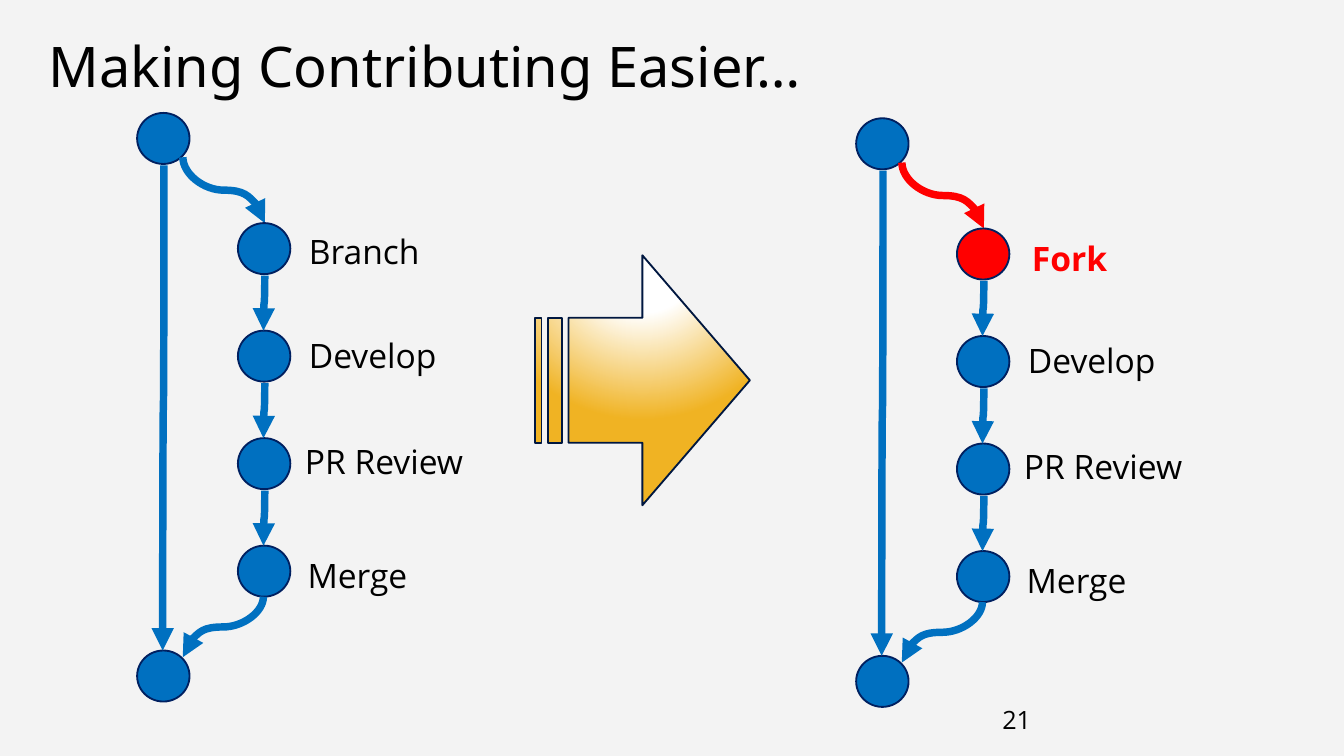
from dataclasses import dataclass

from lxml import etree
from pptx import Presentation
from pptx.dml.color import RGBColor
from pptx.enum import shapes, text
from pptx.oxml import parse_xml
from pptx.oxml.ns import nsdecls, qn
from pptx.util import Inches, Pt


@dataclass(frozen=True)
class Theme:
    background: str = "F3F3F3"
    ink: str = "000000"
    blue: str = "0070C0"
    navy: str = "002060"
    red: str = "FF0000"
    white: str = "FFFFFF"
    gold: str = "F0B323"
    arrow_edge: str = "001740"
    title_font: str = "Noto Sans"
    body_font: str = "Open Sans"
    title_size: float = 30
    label_size: float = 18
    number_size: float = 13.5
    outline: float = 1
    flow_line: float = 4


THEME = Theme()
NODE_W, NODE_H = 0.39, 0.38
STEP_X, FIRST_STEP_Y, STEP_GAP = 0.75, 0.82, 0.8
END_Y = 4.0


def rgb(color):
    return RGBColor.from_string(color)


def add_text(slide, box, words, size, font=THEME.body_font, color=THEME.ink,
             bold=False, wrap=True, inset=True):
    frame = slide.shapes.add_textbox(*map(Inches, box)).text_frame
    frame.word_wrap = wrap
    if not wrap:
        frame.auto_size = text.MSO_AUTO_SIZE.SHAPE_TO_FIT_TEXT
    if not inset:
        frame.margin_left = frame.margin_right = 0
        frame.margin_top = frame.margin_bottom = 0
    paragraph = frame.paragraphs[0]
    paragraph.text = words
    paragraph.font.name = font
    paragraph.font.size = Pt(size)
    paragraph.font.bold = bold
    paragraph.font.color.rgb = rgb(color)
    return paragraph


def add_node(slide, left, top, color=THEME.blue):
    node = slide.shapes.add_shape(
        shapes.MSO_SHAPE.OVAL, *map(Inches, (left, top, NODE_W, NODE_H)))
    node.shadow.inherit = False
    node.fill.solid()
    node.fill.fore_color.rgb = rgb(color)
    node.line.color.rgb = rgb(THEME.navy)
    node.line.width = Pt(THEME.outline)


def add_flow(slide, start, end, color=THEME.blue):
    """Curved arrow that leaves and arrives vertically: a quarter-turned S."""
    (x1, y1), (x2, y2) = start, end
    mid_x, mid_y = (x1 + x2) / 2, (y1 + y2) / 2
    half_w, half_h = (y2 - y1) / 2, abs(x2 - x1) / 2
    rightward = x2 > x1
    if rightward:
        half_w = -half_w
    flow = slide.shapes.add_connector(
        shapes.MSO_CONNECTOR.CURVE,
        Inches(mid_x - half_w), Inches(mid_y - half_h),
        Inches(mid_x + half_w), Inches(mid_y + half_h))
    flow.line.color.rgb = rgb(color)
    flow.line.width = Pt(THEME.flow_line)
    properties = flow._element.spPr
    quarter_turns = 3 if rightward else 1
    properties.find(qn("a:xfrm")).set("rot", str(quarter_turns * 90 * 60000))
    line = properties.find(qn("a:ln"))
    etree.SubElement(line, qn("a:tailEnd"), type="triangle")
    etree.SubElement(properties, qn("a:effectLst"))


def add_workflow(slide, left, top, steps, first_color=THEME.blue):
    """Main line with a side path; steps are (words, x, y, width) of labels."""
    def at(x, y):
        return left + x, top + y

    step_tops = [FIRST_STEP_Y + STEP_GAP * i for i in range(len(steps))]
    add_node(slide, *at(0, 0))
    add_node(slide, *at(0, END_Y))
    add_flow(slide, at(0.2, 0.39), at(0.19, END_Y))
    add_flow(slide, at(0.34, 0.33), at(0.95, FIRST_STEP_Y), first_color)

    for i, ((words, x, y, width), step_top) in enumerate(zip(steps, step_tops)):
        color = first_color if i == 0 else THEME.blue
        changed = color != THEME.blue
        add_node(slide, *at(STEP_X, step_top), color)
        add_text(slide, (*at(x, y), width, 0.4), words,
                 THEME.label_size, color=color if changed else THEME.ink,
                 bold=changed, wrap=False)
    for step_top, next_top in zip(step_tops, step_tops[1:]):
        add_flow(slide, at(0.95, step_top + NODE_H + 0.01), at(0.94, next_top))
    add_flow(slide, at(0.94, step_tops[-1] + NODE_H), at(0.34, 4.05))


def add_transition_arrow(slide, left, top, width, height):
    arrow = slide.shapes.add_shape(
        shapes.MSO_SHAPE.STRIPED_RIGHT_ARROW,
        *map(Inches, (left, top, width, height)))
    arrow.shadow.inherit = False
    arrow.line.color.rgb = rgb(THEME.arrow_edge)
    arrow.line.width = Pt(THEME.outline)
    colors = ((0, THEME.white), (35, THEME.white), (100, THEME.gold))
    stops = "".join(
        f'<a:gs pos="{percent * 1000}"><a:srgbClr val="{color}"/></a:gs>'
        for percent, color in colors)
    gradient = parse_xml(
        f'<a:gradFill {nsdecls("a")} rotWithShape="1"><a:gsLst>{stops}</a:gsLst>'
        '<a:path path="circle"><a:fillToRect l="50000" t="-80000" r="50000" '
        'b="180000"/></a:path></a:gradFill>')
    arrow._element.spPr.find(qn("a:prstGeom")).addnext(gradient)


def build_slide(prs):
    slide = prs.slides.add_slide(prs.slide_layouts[6])
    slide.background.fill.solid()
    slide.background.fill.fore_color.rgb = rgb(THEME.background)

    title = add_text(slide, (0.36, 0.29, 9.21, 1.1),
                     "Making Contributing Easier…",
                     THEME.title_size, THEME.title_font, inset=False)
    title.line_spacing = 0.9
    add_text(slide, (7.36, 5.19, 2.25, 0.3), "21", THEME.number_size)

    shared_steps = [("Develop", 1.18, 1.6, 1.16), ("PR Review", 1.15, 2.39, 1.39),
                    ("Merge", 1.17, 3.24, 0.95)]
    add_workflow(slide, 1.02, 0.84,
                 [("Branch", 1.18, 0.83, 1.03)] + shared_steps)
    add_workflow(slide, 6.37, 0.88,
                 [("Fork", 1.21, 0.84, 0.77)] + shared_steps, THEME.red)
    add_transition_arrow(slide, 3.98, 1.9, 1.6, 1.86)


def main():
    prs = Presentation()
    prs.slide_width = Inches(10)
    prs.slide_height = prs.slide_width * 9 // 16
    build_slide(prs)
    prs.save("out.pptx")


if __name__ == "__main__":
    main()
